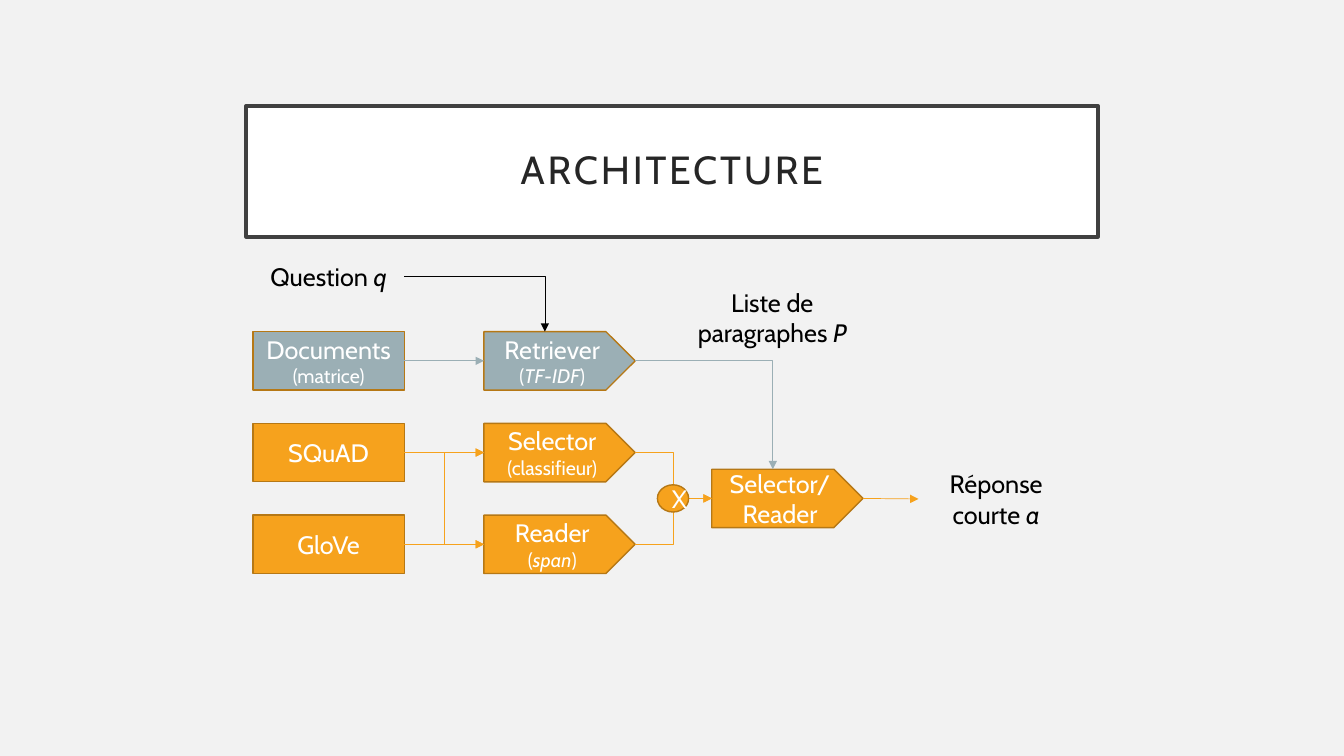
from pptx import Presentation
from pptx.dml.color import RGBColor
from pptx.enum.shapes import MSO_CONNECTOR as LINK, MSO_SHAPE as SHAPE
from pptx.enum.text import MSO_ANCHOR, PP_ALIGN
from pptx.oxml.ns import qn
from pptx.util import Inches, Pt
from lxml import etree

FONT = "Cabin"
COLORS = {
    "page": "F2F2F2", "white": "FFFFFF", "frame": "404040", "title": "262626",
    "black": "000000", "grey": "9BAFB5", "orange": "F6A21D", "edge": "B67815",
}
TOP, LEFT, RIGHT = 0, 1, 3
SOURCE_X, STAGE_X, MERGE_X = 2.51, 4.8, 7.06
FIRST_ROW, ROW_STEP = 3.29, 0.91
BLOCK_W, BLOCK_H = 1.5, 0.58
# A pentagon's point takes half its height, so its top centre sits further left
PENTAGON_TOP = (BLOCK_W - BLOCK_H / 2) / 2


def rgb(name):
    return RGBColor.from_string(COLORS[name])


def write(shape, lines, color):
    """Write centred (text, size) lines; text between asterisks is italic."""
    frame = shape.text_frame
    frame.word_wrap = True
    for index, (text, size) in enumerate(lines):
        para = frame.paragraphs[0] if index == 0 else frame.add_paragraph()
        para.alignment = PP_ALIGN.CENTER
        for part, words in enumerate(text.split("*")):
            if not words:
                continue
            span = para.add_run()
            span.text = words
            span.font.name = FONT
            span.font.size = Pt(size)
            span.font.italic = part % 2 == 1
            span.font.color.rgb = rgb(color)


def add_box(page, kind, place, fill, lines, edge="edge", width=1, color="white"):
    box = page.shapes.add_shape(kind, *map(Inches, place))
    box.shadow.inherit = False
    box.fill.solid()
    box.fill.fore_color.rgb = rgb(fill)
    box.line.color.rgb = rgb(edge)
    box.line.width = Pt(width)
    box.text_frame.vertical_anchor = MSO_ANCHOR.MIDDLE
    write(box, lines, color)
    return box


def add_block(page, kind, left, row, fill, *lines):
    place = (left, FIRST_ROW + row * ROW_STEP, BLOCK_W, BLOCK_H)
    return add_box(page, kind, place, fill, lines)


def add_label(page, place, text):
    label = page.shapes.add_textbox(*map(Inches, place))
    write(label, [(text, 18)], "black")
    return label


def add_title(page, text):
    title = add_box(page, SHAPE.RECTANGLE, (2.44, 1.05, 8.45, 1.3), "white",
                    [(text, 28)], "frame", 2.5, "title")
    para = title.text_frame.paragraphs[0]
    para.line_spacing = 0.9
    para.runs[0].font._element.set("spc", "200")


def add_arrow(page, color, start, end=None, tip=None, side=LEFT):
    """Draw an arrow from the right of start to a side of end, or to the tip point."""
    begin_x, begin_y = start.left + start.width, start.top + start.height // 2
    if tip:
        end_x, end_y = map(Inches, tip)
    elif side == TOP:
        end_x, end_y = end.left + Inches(PENTAGON_TOP), end.top
    else:
        end_x, end_y = end.left, end.top + end.height // 2
    kind = LINK.STRAIGHT if begin_y == end_y or tip else LINK.ELBOW
    arrow = page.shapes.add_connector(kind, begin_x, begin_y, end_x, end_y)
    arrow.begin_connect(start, RIGHT)
    if end is not None:
        arrow.end_connect(end, side)
        arrow.end_x, arrow.end_y = end_x, end_y
    properties = arrow._element.spPr
    if side == TOP:
        properties.find(qn("a:prstGeom")).set("prst", "bentConnector2")
    arrow.line.color.rgb = rgb(color)
    arrow.line.width = Pt(0.5)
    etree.SubElement(properties.find(qn("a:ln")), qn("a:tailEnd"), type="triangle")
    etree.SubElement(properties, qn("a:effectLst"))


def main():
    deck = Presentation()
    deck.slide_width, deck.slide_height = Inches(13.33), Inches(7.5)
    page = deck.slides.add_slide(deck.slide_layouts[6])
    page.background.fill.solid()
    page.background.fill.fore_color.rgb = rgb("page")

    add_title(page, "ARCHITECTURE")

    sources = [
        add_block(page, SHAPE.RECTANGLE, SOURCE_X, row, fill, *lines)
        for row, (fill, *lines) in enumerate([
            ("grey", ("Documents", 18), ("(matrice)", 14)),
            ("orange", ("SQuAD", 18)),
            ("orange", ("GloVe", 18)),
        ])
    ]
    stages = [
        add_block(page, SHAPE.PENTAGON, STAGE_X, row, fill, *lines)
        for row, (fill, *lines) in enumerate([
            ("grey", ("Retriever", 18), ("(*TF-IDF*)", 14)),
            ("orange", ("Selector", 18), ("(classifieur)", 14)),
            ("orange", ("Reader", 18), ("(*span*)", 14)),
        ])
    ]
    retriever = stages[0]
    merged = add_block(page, SHAPE.PENTAGON, MERGE_X, 1.5, "orange",
                       ("Selector/", 18), ("Reader", 18))

    add_arrow(page, "grey", sources[0], retriever)
    for source in sources[1:]:
        for stage in stages[1:]:
            add_arrow(page, "orange", source, stage)
    for stage in stages[1:]:
        add_arrow(page, "orange", stage, merged)
    add_box(page, SHAPE.OVAL, (6.52, 4.81, 0.31, 0.27), "orange", [("X", 18)])
    add_arrow(page, "grey", retriever, merged, side=TOP)

    question = add_label(page, (SOURCE_X, 2.54, BLOCK_W, 0.4), "Question *q*")
    add_arrow(page, "black", question, retriever, side=TOP)
    add_arrow(page, "orange", merged, tip=(9.11, 4.95))
    add_label(page, (9.16, 4.6, 1.44, 0.71), "Réponse courte *a*")
    add_label(page, (6.76, 2.8, 1.8, 0.71), "Liste de paragraphes *P*")

    deck.save("out.pptx")


if __name__ == "__main__":
    main()
